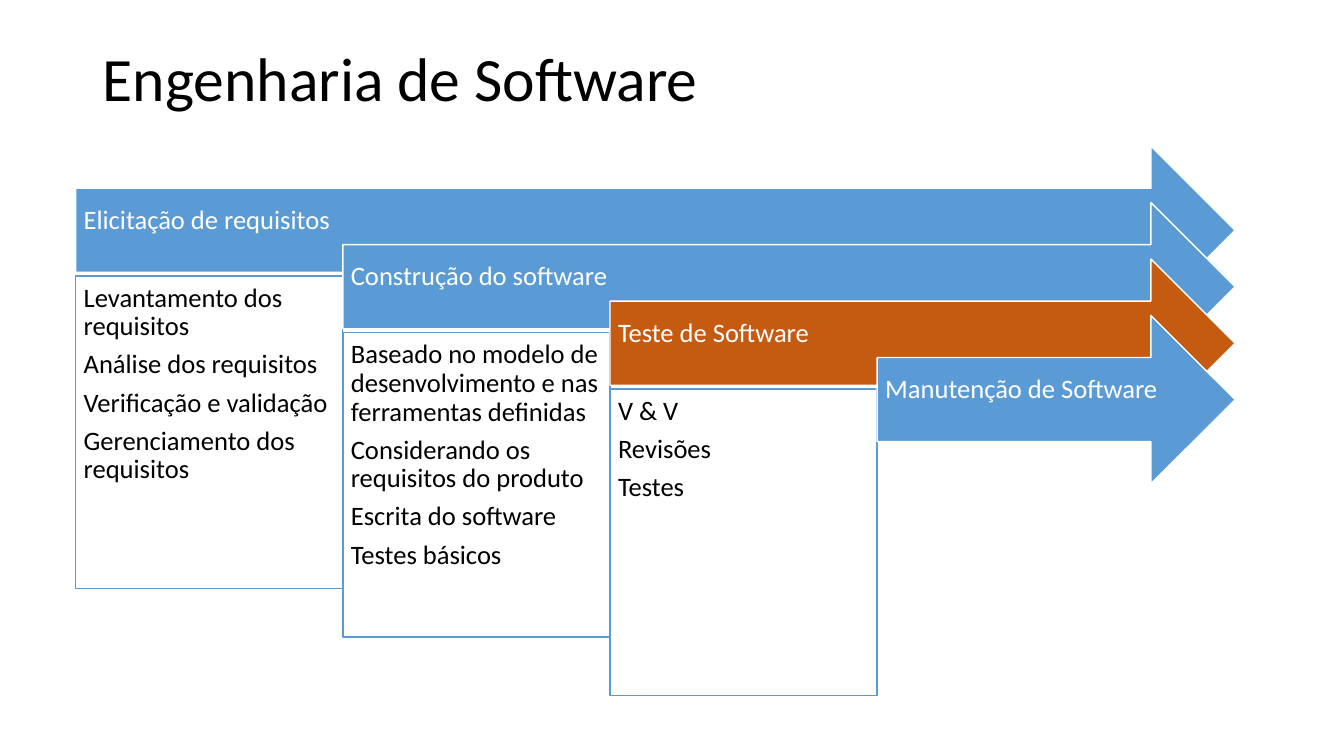
from pptx import Presentation
from pptx.dml.color import RGBColor
from pptx.enum import shapes, text
from pptx.util import Inches, Pt

BLUE = RGBColor(0x5B, 0x9B, 0xD5)
ORANGE = RGBColor(0xC5, 0x5A, 0x11)
WHITE = RGBColor(0xFF, 0xFF, 0xFF)
BLACK = RGBColor(0, 0, 0)
FONT = "Calibri"

TITLE = "Engenharia de Software"
# Phase name, arrow colour, activities, box fill, box height
PHASES = [
    ("Elicitação de requisitos", BLUE,
     ["Levantamento dos requisitos", "Análise dos requisitos",
      "Verificação e validação", "Gerenciamento dos requisitos"], WHITE, 3.1),
    ("Construção do software", BLUE,
     ["Baseado no modelo de desenvolvimento e nas ferramentas definidas",
      "Considerando os requisitos do produto",
      "Escrita do software", "Testes básicos"], WHITE, 3.02),
    ("Teste de Software", ORANGE, ["V & V", "Revisões", "Testes"], None, 3.04),
    ("Manutenção de Software", BLUE, [], None, 0),
]

LEFT, TOP, RIGHT = 0.75, 1.45, 12.25
COLUMN_W, STEP_Y = 2.65, 0.56
ARROW_H, BOX_DROP = 1.67, 1.29


def write(tf, lines, size, color, anchor, space_after=0):
    tf.text = "\n".join(lines)
    tf.word_wrap = True
    tf.vertical_anchor = anchor
    for p in tf.paragraphs:
        p.alignment = text.PP_ALIGN.LEFT
        p.line_spacing = 0.9
        p.space_before = Pt(0)
        p.space_after = Pt(space_after)
        for r in p.runs:
            r.font.name = FONT
            r.font.size = Pt(size)
            r.font.color.rgb = color


def add_panel(s, kind, box, fill, line, lines, color, anchor, insets):
    sp = s.shapes.add_shape(kind, *map(Inches, box))
    sp.shadow.inherit = False
    if fill is None:
        sp.fill.background()
    else:
        sp.fill.solid()
        sp.fill.fore_color.rgb = fill
    sp.line.color.rgb = line
    sp.line.width = Pt(1)
    tf = sp.text_frame
    (tf.margin_left, tf.margin_top,
     tf.margin_right, tf.margin_bottom) = map(Inches, insets)
    write(tf, lines, 19, color, anchor, space_after=6.65)


def main():
    prs = Presentation()
    prs.slide_width, prs.slide_height = Inches(13.33), Inches(7.5)
    s = prs.slides.add_slide(prs.slide_layouts[5])

    title = s.shapes.title
    title.left, title.top = Inches(0.92), Inches(0.4)
    title.width, title.height = Inches(11.5), Inches(0.81)
    write(title.text_frame, [TITLE], 44, BLACK, text.MSO_ANCHOR.MIDDLE)

    for i, (name, color, activities, box_fill, box_h) in enumerate(PHASES):
        x, y = LEFT + i * COLUMN_W, TOP + i * STEP_Y
        add_panel(s, shapes.MSO_SHAPE.RIGHT_ARROW, (x, y, RIGHT - x, ARROW_H),
                  color, WHITE, [name], WHITE, text.MSO_ANCHOR.MIDDLE,
                  (0.08, 0.08, 0.28, 0.27))
        if activities:
            add_panel(s, shapes.MSO_SHAPE.RECTANGLE,
                      (x, y + BOX_DROP, COLUMN_W, box_h),
                      box_fill, BLUE, activities, BLACK, text.MSO_ANCHOR.TOP,
                      (0.08, 0.08, 0.08, 0.08))

    prs.save("out.pptx")


if __name__ == "__main__":
    main()
